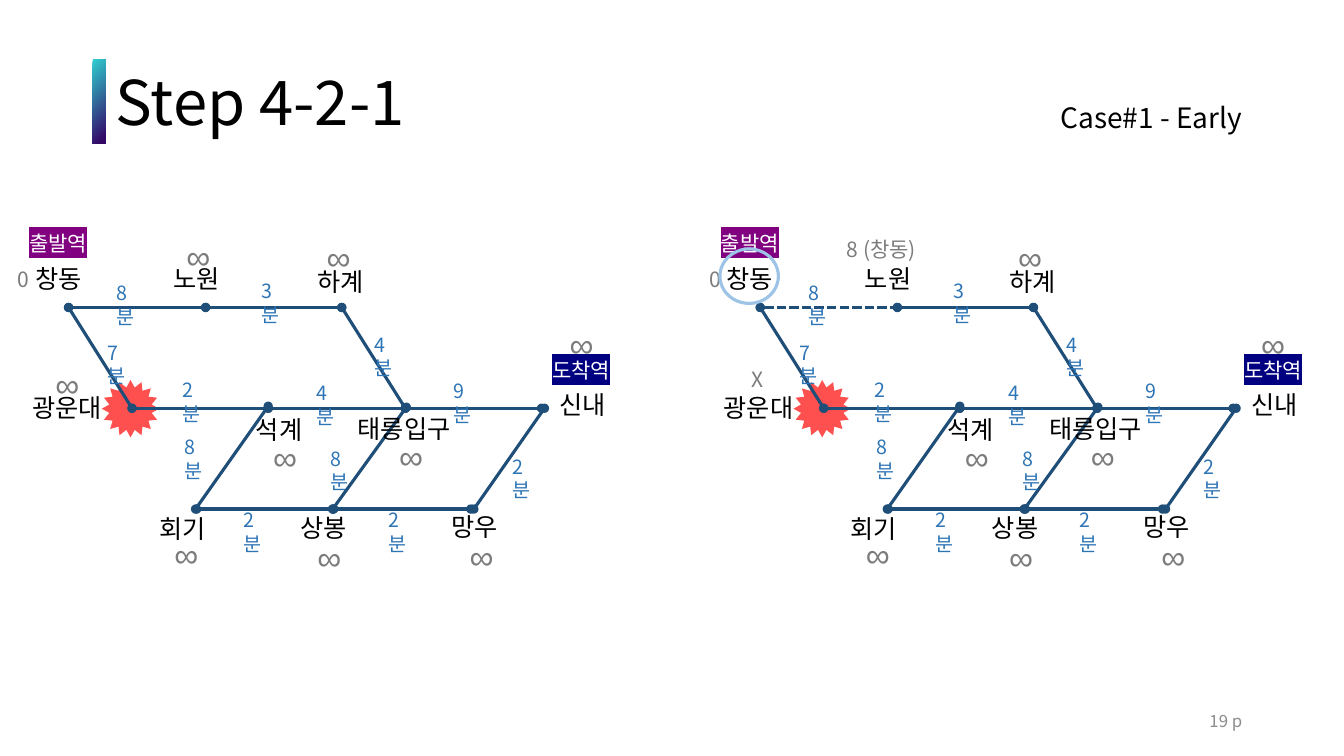
from lxml import etree
from pptx import Presentation
from pptx import util as u
from pptx.dml.color import RGBColor
from pptx.enum import dml, shapes, text
from pptx.oxml.ns import qn

COLORS = {
    "black": "000000", "white": "FFFFFF", "teal": "30CFD0", "indigo": "330867",
    "track": "1F4E79", "minutes": "2E75B6", "distance": "7C7C7C", "current": "FF5050",
    "ring": "9DC3E6", "start": "800080", "goal": "000080", "page_number": "8C8C8C",
}
COLORS = {name: RGBColor.from_string(value) for name, value in COLORS.items()}
KOREAN = "Noto Sans CJK KR"


def add_text(parent, words, left, top, width, height, size, color="black", font=KOREAN,
             wrap=True, grow=True, align=text.PP_ALIGN.LEFT,
             anchor=text.MSO_ANCHOR.TOP, spacing=None, highlight=None):
    box = parent.add_textbox(u.Inches(left), u.Inches(top), u.Inches(width), u.Inches(height))
    frame = box.text_frame
    frame.word_wrap = wrap
    frame.auto_size = text.MSO_AUTO_SIZE.SHAPE_TO_FIT_TEXT if grow else text.MSO_AUTO_SIZE.NONE
    frame.vertical_anchor = anchor
    para = frame.paragraphs[0]
    para.alignment = align
    para.line_spacing = spacing
    span = para.add_run()
    span.text = words
    span.font.size = u.Pt(size)
    span.font.color.rgb = COLORS[color]
    properties = span.font._element
    if highlight:
        mark = etree.SubElement(properties, qn("a:highlight"))
        etree.SubElement(mark, qn("a:srgbClr"), val=str(COLORS[highlight]))
    span.font.name = font
    etree.SubElement(properties, qn("a:ea"), typeface=font)


deck = Presentation()
deck.slide_width, deck.slide_height = u.Inches(13.33), u.Inches(7.5)
page = deck.slides.add_slide(deck.slide_layouts[6])

bar = page.shapes.add_shape(shapes.MSO_SHAPE.RECTANGLE, u.Inches(0.92), u.Inches(0.59),
                            u.Inches(0.13), u.Inches(0.83))
bar.shadow.inherit = False
bar.line.fill.background()
bar.fill.gradient()
bar.fill.gradient_angle = 315
for stop, position, color in zip(bar.fill.gradient_stops, (0, 0.94), ("teal", "indigo")):
    stop.position = position
    stop.color.rgb = COLORS[color]

add_text(page.shapes, "Step 4-2-1", 1.05, 0.51, 4, 1.08, 44, grow=False,
         anchor=text.MSO_ANCHOR.MIDDLE, spacing=0.9)
add_text(page.shapes, "Case#1 - Early", 9.91, 0.99, 2.51, 0.46, 20, grow=False,
         align=text.PP_ALIGN.RIGHT, spacing=0.9)

FIRST_TRACK = (0.68, 3.05, 2.04, 3.05)
TRACKS = [
    (0.68, 3.05, 1.31, 4.05), (2.66, 4.03, 1.94, 5.05), FIRST_TRACK,
    (1.31, 4.05, 2.66, 4.05), (2.66, 4.05, 4.02, 4.05), (2.04, 3.05, 3.39, 3.05),
    (4.02, 4.05, 5.37, 4.05), (1.95, 5.05, 3.3, 5.05), (3.31, 5.05, 4.67, 5.05),
    (4.7, 5.05, 5.4, 4.05), (3.39, 3.05, 4.02, 4.05), (4.03, 4.04, 3.3, 5.05),
]
STATIONS = [
    ("석계", 2.44, 4.06), ("태릉입구", 3.45, 4.05), ("망우", 4.38, 5.02),
    ("상봉", 2.88, 5.03), ("회기", 1.48, 5.04), ("광운대", 0.22, 3.84),
    ("하계", 3.05, 2.59), ("노원", 1.62, 2.56), ("창동", 0.25, 2.56), ("신내", 5.45, 3.81),
]
MINUTES = [
    (4, 3.04, 3.73), (2, 1.71, 3.7), (9, 4.4, 3.71), (4, 3.62, 3.25),
    (3, 2.5, 2.72), (7, 0.97, 3.33), (8, 1.06, 2.74), (2, 4.98, 4.46),
    (2, 2.32, 4.99), (2, 3.75, 4.99), (8, 1.73, 4.27), (8, 3.18, 4.38),
]
TERMINALS = [("출발역", 0.19, 2.24, "start"), ("도착역", 5.38, 3.5, "goal")]
UNREACHED = [
    (3.14, 2.3), (2.61, 4.29), (3.86, 4.28), (5.55, 3.16),
    (1.63, 5.25), (3.05, 5.28), (4.56, 5.27),
]
BEFORE = {"offset": 0, "visited": False, "unreached": UNREACHED + [(1.75, 2.29), (0.45, 3.56)],
          "notes": [("0", 0.08, 2.59, 0.75)]}
AFTER = {"offset": 6.86, "visited": True, "unreached": UNREACHED,
         "notes": [("0", 0.08, 2.59, 0.75), ("8 (창동)", 1.44, 2.3, 1.79), ("X", 0.5, 3.59, 0.45)]}

for panel in (BEFORE, AFTER):
    offset = panel["offset"]
    network = page.shapes.add_group_shape().shapes

    star = network.add_shape(shapes.MSO_SHAPE.STAR_16_POINT, u.Inches(offset + 1.01),
                             u.Inches(3.77), u.Inches(0.57), u.Inches(0.57))
    star.shadow.inherit = False
    star.fill.solid()
    star.fill.fore_color.rgb = COLORS["current"]
    star.line.fill.background()

    for track in TRACKS:
        x1, y1, x2, y2 = track
        line = network.add_connector(shapes.MSO_CONNECTOR.STRAIGHT, u.Inches(offset + x1),
                                     u.Inches(y1), u.Inches(offset + x2), u.Inches(y2))
        line.line.color.rgb = COLORS["track"]
        line.line.width = u.Pt(2.25)
        if panel["visited"] and track == FIRST_TRACK:
            line.line.dash_style = dml.MSO_LINE.SQUARE_DOT
        outline = line.line._get_or_add_ln()
        for end in ("a:headEnd", "a:tailEnd"):
            etree.SubElement(outline, qn(end), type="oval")
        etree.SubElement(line._element.spPr, qn("a:effectLst"))

    for name, left, top in STATIONS:
        add_text(network, name, offset + left, top, 0.21 + 0.23 * len(name), 0.41, 18, wrap=False)
    for minutes, left, top in MINUTES:
        add_text(network, f"{minutes}분", offset + left, top, 0.45, 0.34, 14, "minutes", grow=False)
    for name, left, top, highlight in TERMINALS:
        add_text(network, name, offset + left, top, 0.78, 0.36, 15, "white",
                 wrap=False, highlight=highlight)
    for left, top in panel["unreached"]:
        add_text(network, "∞", offset + left, top, 0.75, 0.64, 24, "distance", font="Arial")
    for words, left, top, width in panel["notes"]:
        add_text(network, words, offset + left, top, width, 0.35, 15, "distance")

    if panel["visited"]:
        ring = network.add_shape(shapes.MSO_SHAPE.OVAL, u.Inches(offset + 0.28),
                                 u.Inches(2.47), u.Inches(0.58), u.Inches(0.54))
        ring.shadow.inherit = False
        ring.fill.background()
        ring.line.color.rgb = COLORS["ring"]
        ring.line.width = u.Pt(2.25)

add_text(page.shapes, "19 p", 9.42, 6.95, 3, 0.4, 12, "page_number", grow=False,
         align=text.PP_ALIGN.RIGHT, anchor=text.MSO_ANCHOR.MIDDLE)

deck.save("out.pptx")
